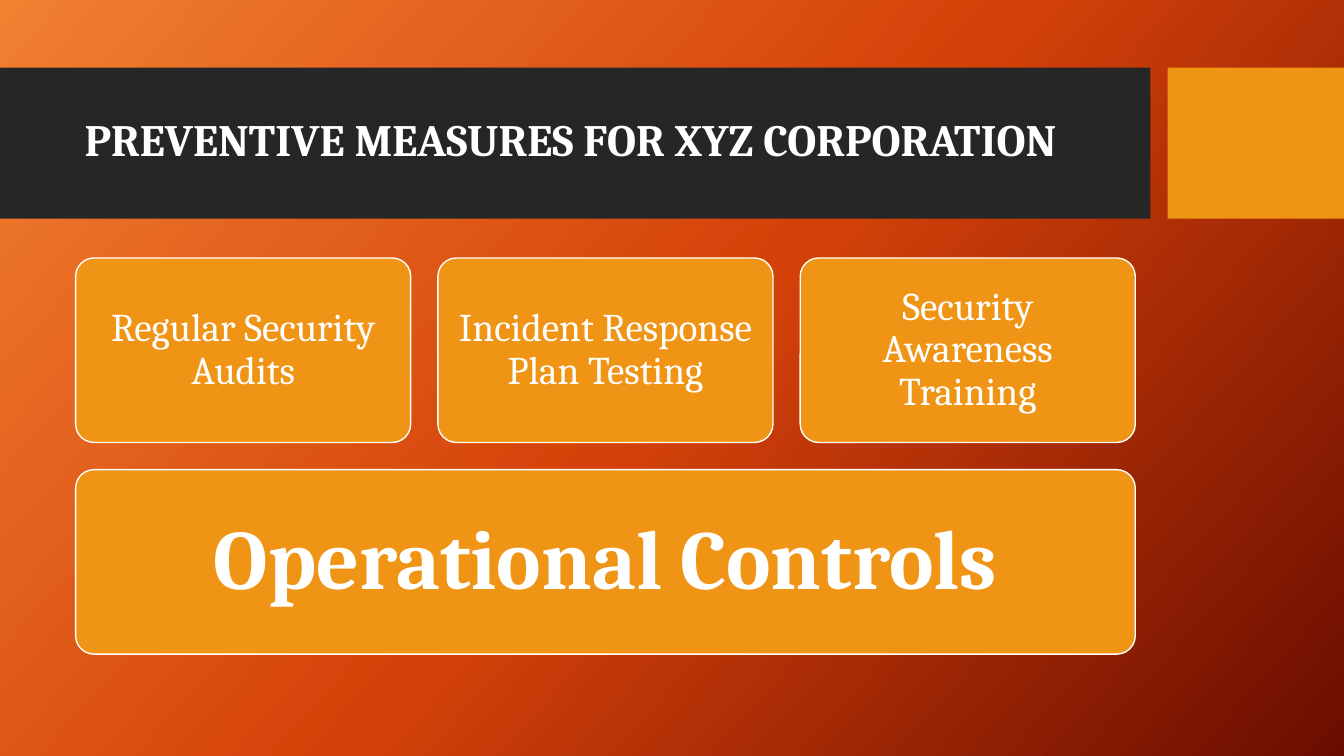
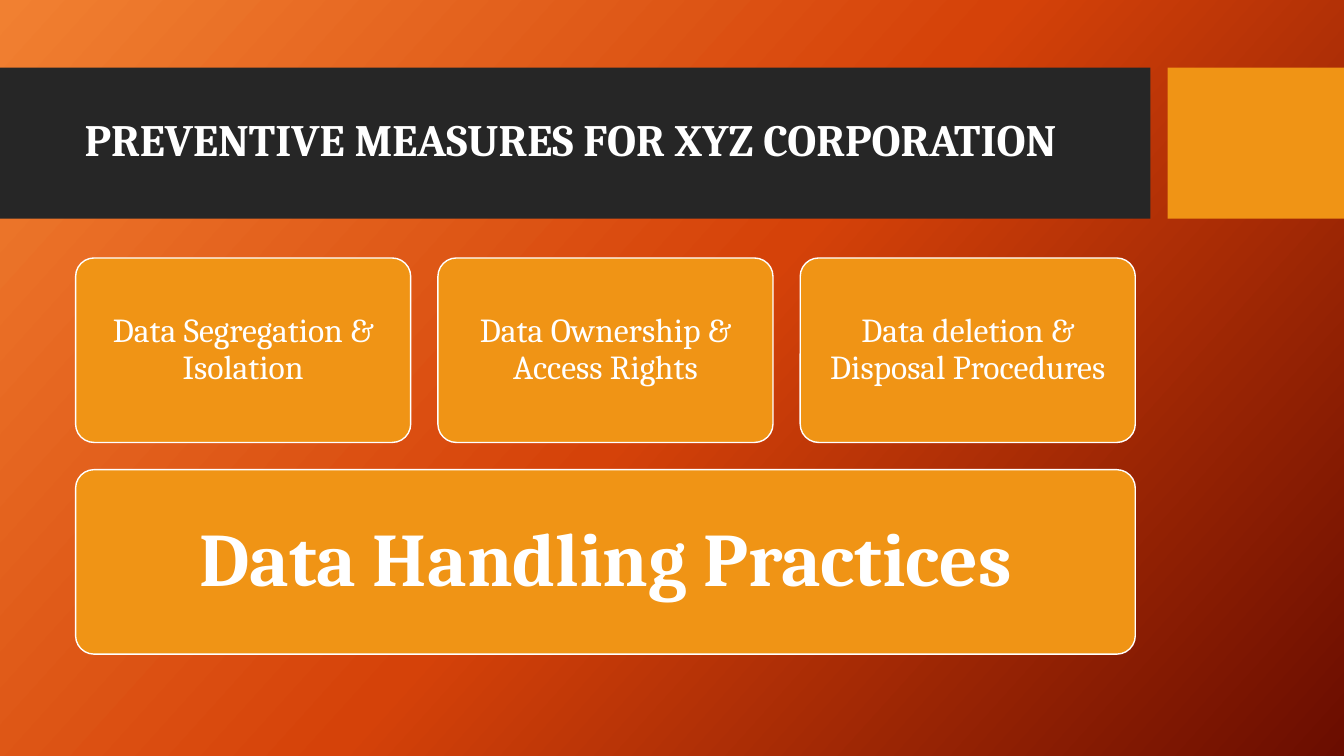
"""Build two slides on preventive measures, each with three cards over a wide card."""
from copy import deepcopy

from pptx import Presentation
from pptx.dml.color import RGBColor
from pptx.enum.shapes import MSO_SHAPE
from pptx.enum.text import MSO_ANCHOR, PP_ALIGN
from pptx.oxml.ns import qn
from pptx.util import Inches, Pt

TITLE = "PREVENTIVE MEASURES FOR XYZ CORPORATION"
SLIDES = [
    {"cards": ["Regular Security Audits", "Incident Response Plan Testing",
               "Security Awareness Training"],
     "card_size": 28, "card_inset": 0.12,
     "base": "Operational Controls", "base_size": 60, "base_inset": 0.25},
    {"cards": ["Data Segregation & Isolation", "Data Ownership & Access Rights",
               "Data deletion & Disposal Procedures"],
     "card_size": 24, "card_inset": 0.1,
     "base": "Data Handling Practices", "base_size": 54, "base_inset": 0.23},
]

FONT = "Cambria"
WHITE, DARK, ORANGE = "FFFFFF", "262626", "F09415"
GRADIENT = [(0, "F18031"), (0.5, "D54209"), (1, "6A0D00")]
GRADIENT_ANGLE = 42
SLIDE_W, SLIDE_H = 13.33, 7.5
BAND_TOP, BAND_H, BAND_W, TAB_LEFT = 0.67, 1.5, 11.41, 11.58
GRID_LEFT, GRID_TOP, GRID_W, ROW_H, GAP = 0.75, 2.56, 10.51, 1.83, 0.27


def rgb(color):
    return RGBColor.from_string(color)


def set_background(master):
    fill = master.background.fill
    fill.gradient()
    stops = master.element.find(".//" + qn("a:gsLst"))
    stops.append(deepcopy(stops[0]))
    for stop, (position, color) in zip(fill.gradient_stops, GRADIENT):
        stop.position = position
        stop.color.rgb = rgb(color)
    fill.gradient_angle = 360 - GRADIENT_ANGLE


def add_box(slide, kind, box, fill, line=None):
    sp = slide.shapes.add_shape(kind, *map(Inches, box))
    sp.shadow.inherit = False
    sp.fill.solid()
    sp.fill.fore_color.rgb = rgb(fill)
    if line:
        sp.line.color.rgb = rgb(line)
        sp.line.width = Pt(1)
    else:
        sp.line.fill.background()
    return sp


def write(sp, text, size, bold, align):
    tf = sp.text_frame
    tf.word_wrap = True
    tf.vertical_anchor = MSO_ANCHOR.MIDDLE
    tf.text = text
    p = tf.paragraphs[0]
    p.alignment = align
    p.line_spacing = 0.9
    font = p.runs[0].font
    font.name, font.size, font.bold = FONT, Pt(size), bold
    font.color.rgb = rgb(WHITE)


def add_card(slide, box, text, size, inset, bold=False):
    sp = add_box(slide, MSO_SHAPE.ROUNDED_RECTANGLE, box, ORANGE, WHITE)
    sp.adjustments[0] = 0.1
    tf = sp.text_frame
    tf.margin_left = tf.margin_right = tf.margin_top = tf.margin_bottom = Inches(inset)
    write(sp, text, size, bold, PP_ALIGN.CENTER)


def add_header(slide):
    add_box(slide, MSO_SHAPE.RECTANGLE, (0, BAND_TOP, BAND_W, BAND_H), DARK)
    add_box(slide, MSO_SHAPE.RECTANGLE,
            (TAB_LEFT, BAND_TOP, SLIDE_W - TAB_LEFT, BAND_H), ORANGE)
    title = slide.shapes.add_textbox(*map(Inches, (0.74, 0.82, GRID_W, 1.18)))
    write(title, TITLE, 32, True, PP_ALIGN.LEFT)


def add_grid(slide, data):
    base_top = GRID_TOP + ROW_H + GAP
    add_card(slide, (GRID_LEFT, base_top, GRID_W, ROW_H), data["base"],
             data["base_size"], data["base_inset"], bold=True)
    count = len(data["cards"])
    card_w = (GRID_W - GAP * (count - 1)) / count
    for i, text in enumerate(data["cards"]):
        left = GRID_LEFT + i * (card_w + GAP)
        add_card(slide, (left, GRID_TOP, card_w, ROW_H), text,
                 data["card_size"], data["card_inset"])


def main():
    prs = Presentation()
    prs.slide_width, prs.slide_height = Inches(SLIDE_W), Inches(SLIDE_H)
    set_background(prs.slide_master)
    for data in SLIDES:
        s = prs.slides.add_slide(prs.slide_layouts[6])
        add_header(s)
        add_grid(s, data)
    prs.save("out.pptx")


if __name__ == "__main__":
    main()
